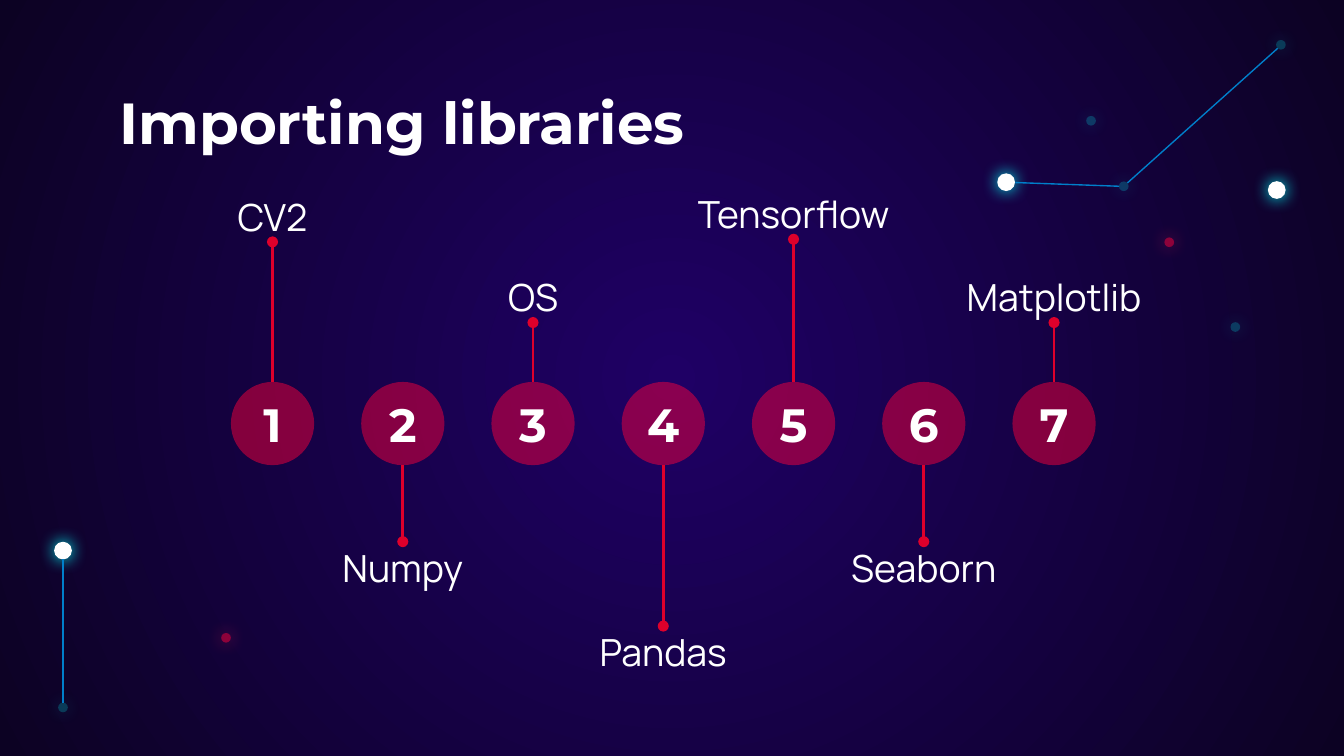
from lxml import etree
from pptx import Presentation
from pptx import util as u
from pptx.dml.color import RGBColor
from pptx.enum import shapes, text
from pptx.oxml.ns import qn

COLORS = {
    "center": "1F0065",
    "edge": "0C0223",
    "white": "FFFFFF",
    "cyan": "00FFFD",
    "blue": "007FCA",
    "pink": "FF003A",
    "pink_glow": "FF2758",
    "red": "DE002B",
}
HEADING, BODY = "Montserrat", "Manrope"


def rgb(name):
    return RGBColor.from_string(COLORS[name])


class Deck:
    """Holds the style and the current slide; all lengths are points."""

    def __init__(self, width, height):
        self.presentation = Presentation()
        self.presentation.slide_width = u.Pt(width)
        self.presentation.slide_height = u.Pt(height)
        layout = self.presentation.slide_layouts.get_by_name("Title Only")
        self.slide = self.presentation.slides.add_slide(layout)

    def background(self, inner, outer):
        fill = self.slide.background.fill
        fill.gradient()
        for stop, color, position in zip(fill.gradient_stops, (inner, outer), (0, 1)):
            stop.color.rgb = rgb(color)
            stop.position = position
        gradient = next(self.slide.element.iter(qn("a:gradFill")))
        gradient.remove(gradient.find(qn("a:lin")))
        radial = etree.SubElement(gradient, qn("a:path"), path="circle")
        etree.SubElement(radial, qn("a:fillToRect"), l="50000", t="50000", r="50000", b="50000")

    def set_text(self, shape, words, size, font, bold, align):
        frame = shape.text_frame
        frame.text = words
        frame.word_wrap = True
        frame.auto_size = text.MSO_AUTO_SIZE.NONE
        frame.vertical_anchor = text.MSO_ANCHOR.MIDDLE
        frame.margin_left = frame.margin_right = u.Pt(7.2)
        frame.margin_top = frame.margin_bottom = u.Pt(7.2)
        paragraph = frame.paragraphs[0]
        paragraph.alignment = align
        style = paragraph.runs[0].font
        style.size, style.name, style.bold = u.Pt(size), font, bold
        style.color.rgb = rgb("white")

    def title(self, words, left, top, width, height):
        shape = self.slide.shapes.title
        shape.left, shape.top = u.Pt(left), u.Pt(top)
        shape.width, shape.height = u.Pt(width), u.Pt(height)
        self.set_text(shape, words, 31, HEADING, True, text.PP_ALIGN.LEFT)

    def label(self, words, left, top, width, height):
        shape = self.slide.shapes.add_textbox(u.Pt(left), u.Pt(top), u.Pt(width), u.Pt(height))
        self.set_text(shape, words, 20, BODY, False, text.PP_ALIGN.CENTER)

    def circle(self, x, y, diameter, color, opacity=100):
        shape = self.slide.shapes.add_shape(
            shapes.MSO_SHAPE.OVAL, u.Pt(x - diameter / 2), u.Pt(y - diameter / 2),
            u.Pt(diameter), u.Pt(diameter))
        shape.shadow.inherit = False
        shape.fill.solid()
        shape.fill.fore_color.rgb = rgb(color)
        shape.line.fill.background()
        if opacity < 100:
            fill = shape.element.spPr.find(qn("a:solidFill"))
            etree.SubElement(fill[0], qn("a:alpha"), val=str(opacity * 1000))
        return shape

    def badge(self, x, y, diameter, number):
        shape = self.circle(x, y, diameter, "pink", 48)
        self.set_text(shape, str(number), 25, HEADING, True, text.PP_ALIGN.CENTER)

    def star(self, x, y, diameter, color, opacity, glow):
        shape = self.circle(x, y, diameter, color, opacity)
        effects = shape.element.spPr.find(qn("a:effectLst"))
        shadow = etree.SubElement(effects, qn("a:outerShdw"), blurRad=str(u.Pt(9)),
                                  dist="0", algn="ctr", rotWithShape="0")
        etree.SubElement(shadow, qn("a:srgbClr"), val=COLORS[glow])

    def line(self, start, end, color, weight, oval_head=False):
        connector = self.slide.shapes.add_connector(
            shapes.MSO_CONNECTOR.STRAIGHT, *(u.Pt(value) for value in (*start, *end)))
        connector.line.color.rgb = rgb(color)
        connector.line.width = u.Pt(weight)
        properties = connector.element.spPr
        if oval_head:
            etree.SubElement(properties.find(qn("a:ln")), qn("a:headEnd"), type="oval")
        etree.SubElement(properties, qn("a:effectLst"))


# Star kinds: diameter, fill, opacity, glow
STARS = {
    "bright": (9.5, "white", 100, "cyan"),
    "dim": (5.2, "cyan", 20, "cyan"),
    "pink": (5.2, "pink", 48, "pink_glow"),
}
SKY = [
    ("bright", 33.75, 295), ("dim", 33.75, 379), ("bright", 684, 101.8),
    ("dim", 661.8, 175.2), ("dim", 584.5, 64.7), ("dim", 602, 99.8),
    ("dim", 686.2, 24), ("bright", 539, 97.6), ("pink", 626.4, 129.8),
    ("pink", 121.1, 341.7),
]
SKY_LINES = [
    ((33.75, 376.5), (33.75, 299.7)),
    ((599.5, 99.8), (544, 97.8)),
    ((684.5, 25.9), (604, 98)),
]

# Timeline steps: library, height of the pin's tip, label width
STEPS = [
    ("CV2", 129.6, 118), ("Numpy", 290.2, 118), ("OS", 172.8, 118),
    ("Pandas", 335.4, 118), ("Tensorflow", 128.2, 129),
    ("Seaborn", 290.2, 118), ("Matplotlib", 172.8, 118),
]
FIRST_X, STEP_X, AXIS_Y, BADGE, LABEL_HEIGHT = 146, 69.78, 226.9, 44.6, 27.4


def main():
    deck = Deck(720, 405)
    deck.background("center", "edge")

    # Constellations
    for kind, x, y in SKY:
        deck.star(x, y, *STARS[kind])
    for start, end in SKY_LINES:
        deck.line(start, end, "blue", 0.75)

    deck.title("Importing libraries", 56.9, 42.5, 607, 44.6)

    # Timeline: each label sits beyond the tip of its pin
    for index, (name, tip, width) in enumerate(STEPS):
        x = FIRST_X + index * STEP_X
        above = tip < AXIS_Y
        base = AXIS_Y - BADGE / 2 if above else AXIS_Y + BADGE / 2
        deck.badge(x, AXIS_Y, BADGE, index + 1)
        deck.label(name, x - width / 2, tip - LABEL_HEIGHT if above else tip, width, LABEL_HEIGHT)
        deck.line((x, tip), (x, base), "red", 1.5, oval_head=True)

    deck.presentation.save("out.pptx")


if __name__ == "__main__":
    main()
